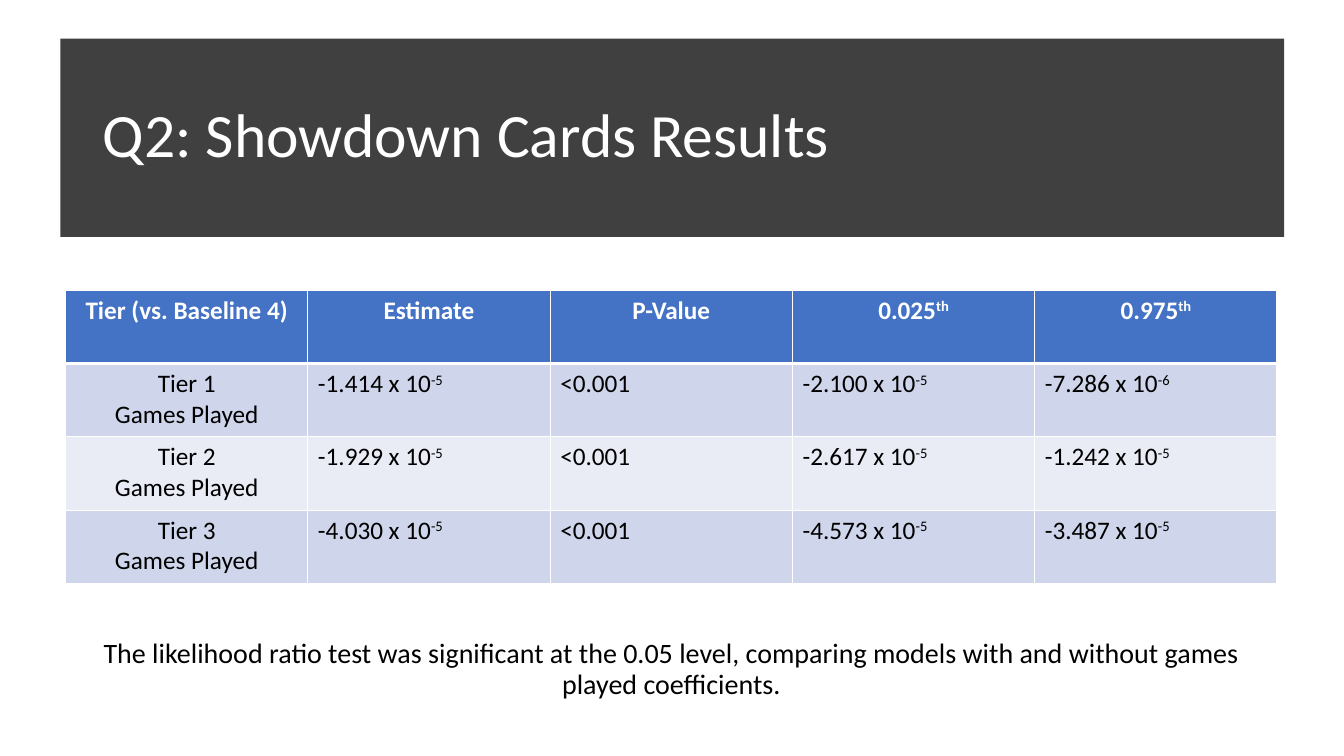
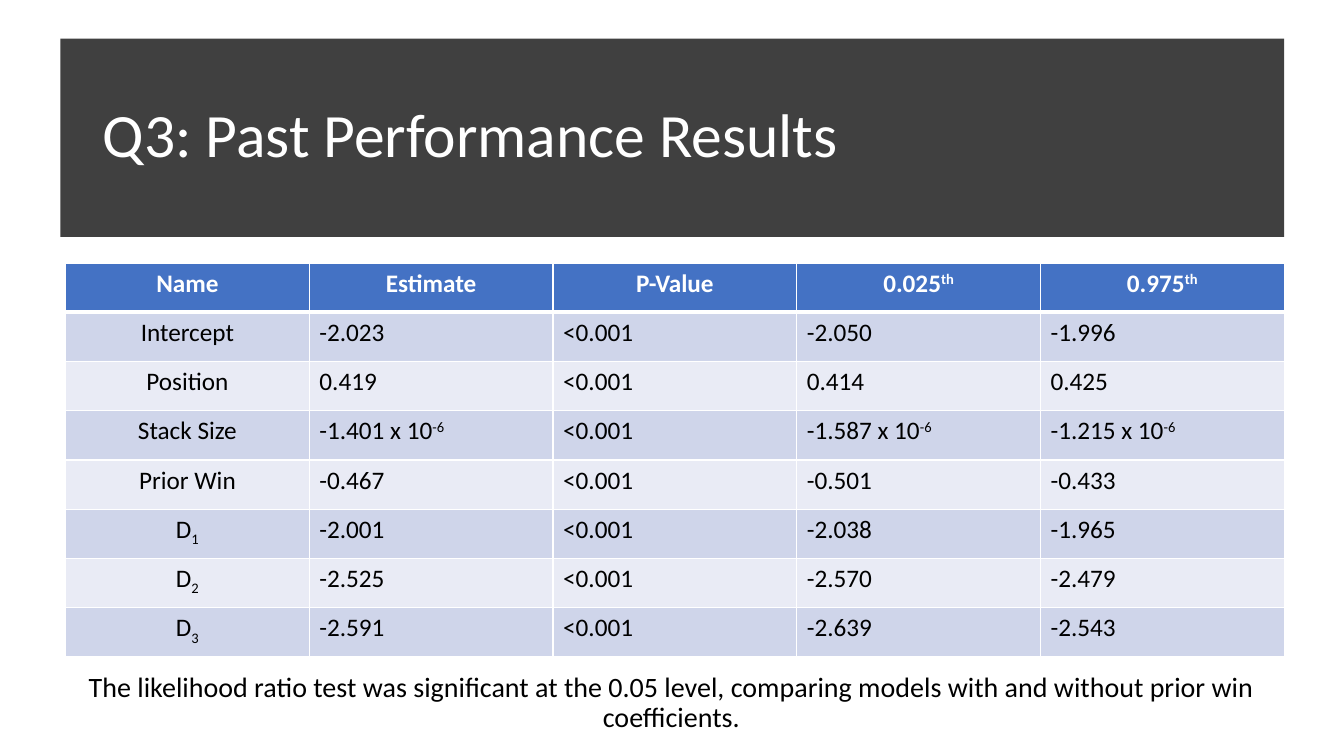
from lxml.etree import fromstring
from pptx import Presentation
from pptx.dml.color import RGBColor
from pptx.enum.shapes import MSO_SHAPE as Shape
from pptx.enum.text import MSO_ANCHOR as Anchor, MSO_AUTO_SIZE as Fit, PP_ALIGN as Align
from pptx.oxml.ns import nsdecls
from pptx.util import Inches, Pt

WHITE, BLACK, DARK, BLUE = "FFFFFF", "000000", "404040", "4472C4"
STRIPES = "CFD5EA", "E9EBF5"
MARKS = {"^": 30, "_": -25}  # raised and lowered text, in percent


def color(target, code):
    target.rgb = RGBColor.from_string(code)


def paint(fill, code):
    fill.solid()
    color(fill.fore_color, code)


class Deck:
    """Holds the style and the current slide; lengths are percent of the slide."""

    font = "Calibri"

    def __init__(self):
        self.prs = Presentation()
        self.prs.slide_width, self.prs.slide_height = Inches(13.33), Inches(7.5)

    def box(self, left, top, width, height):
        wide, high = self.prs.slide_width / 100, self.prs.slide_height / 100
        return [int(n) for n in (left * wide, top * high, width * wide, height * high)]

    def place(self, shape, *area):
        shape.left, shape.top, shape.width, shape.height = self.box(*area)

    def style(self, para, size, code, align, bold=False):
        para.alignment = align
        font = para.font
        font.name, font.size, font.bold = self.font, Pt(size), bold
        color(font.color, code)

    def start(self, title):
        self.slide = self.prs.slides.add_slide(self.prs.slide_layouts[1])
        self.band()
        self.holder(self.slide.shapes.title, title, (6.9, 8.53, 86.25, 19.33),
                    44, WHITE, Align.LEFT)

    def band(self):
        shapes = self.slide.shapes
        band = shapes.add_shape(Shape.RECTANGLE, *self.box(4.5, 5.1, 91.05, 26.25))
        paint(band.fill, DARK)
        band.line.fill.background()
        band.shadow.inherit = False
        shapes.title._element.addprevious(band._element)  # behind the title

    def holder(self, shape, text, area, size, code, align, before=0):
        self.place(shape, *area)
        frame = shape.text_frame
        frame.text = text
        frame.word_wrap, frame.auto_size = True, Fit.NONE
        frame.vertical_anchor = Anchor.MIDDLE
        para = frame.paragraphs[0]
        para.line_spacing, para.space_before = 0.9, Pt(before)
        self.style(para, size, code, align)
        return para

    def note(self, text, top):
        para = self.holder(self.slide.placeholders[1], text, (4.88, top, 90.15, 17.47),
                           20, BLACK, Align.CENTER, 10)
        # No bullet and no hanging indent
        props = para._p.get_or_add_pPr()
        props.set("marL", "0")
        props.set("indent", "0")
        bullet = fromstring(f"<a:buNone {nsdecls('a')}/>")
        props.find("{*}spcBef").addnext(bullet)

    def table(self, rows, top, width, height):
        count = len(rows[0])
        left, top, width, height = self.box(4.88, top, width, height)
        table = self.slide.shapes.add_table(
            len(rows), count, left, top, width, height).table
        for y, row in enumerate(rows):
            table.rows[y].height = height // len(rows)
            for x, text in enumerate(row):
                self.cell(table.cell(y, x), text, x, y)

    def cell(self, cell, text, x, y):
        head = y == 0
        paint(cell.fill, BLUE if head else STRIPES[(y - 1) % 2])
        # A thick rule parts the header from the rows
        self.edges(cell, 3 if y == 1 else 1, 3 if head else 1)
        frame = cell.text_frame
        for i, line in enumerate(text.split("\n")):
            para = frame.add_paragraph() if i else frame.paragraphs[0]
            self.label(para, line)
            self.style(para, 18, WHITE if head else BLACK,
                       Align.CENTER if head or x == 0 else Align.LEFT, head)

    def label(self, para, line):
        mark = next((m for m in MARKS if m in line), None)
        base, _, shift = line.partition(mark) if mark else (line, "", "")
        para.add_run().text = base
        if shift:
            run = para.add_run()
            run.text = shift
            run._r.get_or_add_rPr().set("baseline", str(MARKS[mark] * 1000))

    def edges(self, cell, top, bottom):
        props = cell._tc.get_or_add_tcPr()
        for i, (side, width) in enumerate(zip("LRTB", (1, 1, top, bottom))):
            props.insert(i, fromstring(
                f'<a:ln{side} {nsdecls("a")} w="{Pt(width)}"><a:solidFill>'
                f'<a:srgbClr val="{WHITE}"/></a:solidFill></a:ln{side}>'))


HEADS = ["Estimate", "P-Value", "0.025^th", "0.975^th"]
TEST = ("The likelihood ratio test was significant at the 0.05 level, "
        "comparing models with and without {} coefficients.")
SMALL = "<0.001"


def grid(first, data):
    """Adds the header and the P-value that all rows share."""
    return [[first, *HEADS]] + [[name, mean, SMALL, low, high]
                                for name, mean, low, high in data]


TIERS = grid("Tier (vs. Baseline 4)", [
    ("Tier 1\nGames Played", "-1.414 x 10^-5", "-2.100 x 10^-5", "-7.286 x 10^-6"),
    ("Tier 2\nGames Played", "-1.929 x 10^-5", "-2.617 x 10^-5", "-1.242 x 10^-5"),
    ("Tier 3\nGames Played", "-4.030 x 10^-5", "-4.573 x 10^-5", "-3.487 x 10^-5"),
])
PAST = grid("Name", [
    ("Intercept", "-2.023", "-2.050", "-1.996"),
    ("Position", "0.419", "0.414", "0.425"),
    ("Stack Size", "-1.401 x 10^-6", "-1.587 x 10^-6", "-1.215 x 10^-6"),
    ("Prior Win", "-0.467", "-0.501", "-0.433"),
    ("D_1", "-2.001", "-2.038", "-1.965"),
    ("D_2", "-2.525", "-2.570", "-2.479"),
    ("D_3", "-2.591", "-2.639", "-2.543"),
])


def main():
    deck = Deck()

    # Showdown cards
    deck.start("Q2: Showdown Cards Results")
    deck.note(TEST.format("games played"), 79.87)
    deck.table(TIERS, 38.4, 90.15, 38.8)

    # Past performance
    deck.start("Q3: Past Performance Results")
    deck.note(TEST.format("prior win"), 84.27)
    deck.table(PAST, 34.8, 90.68, 52.13)

    deck.prs.save("out.pptx")


if __name__ == "__main__":
    main()
